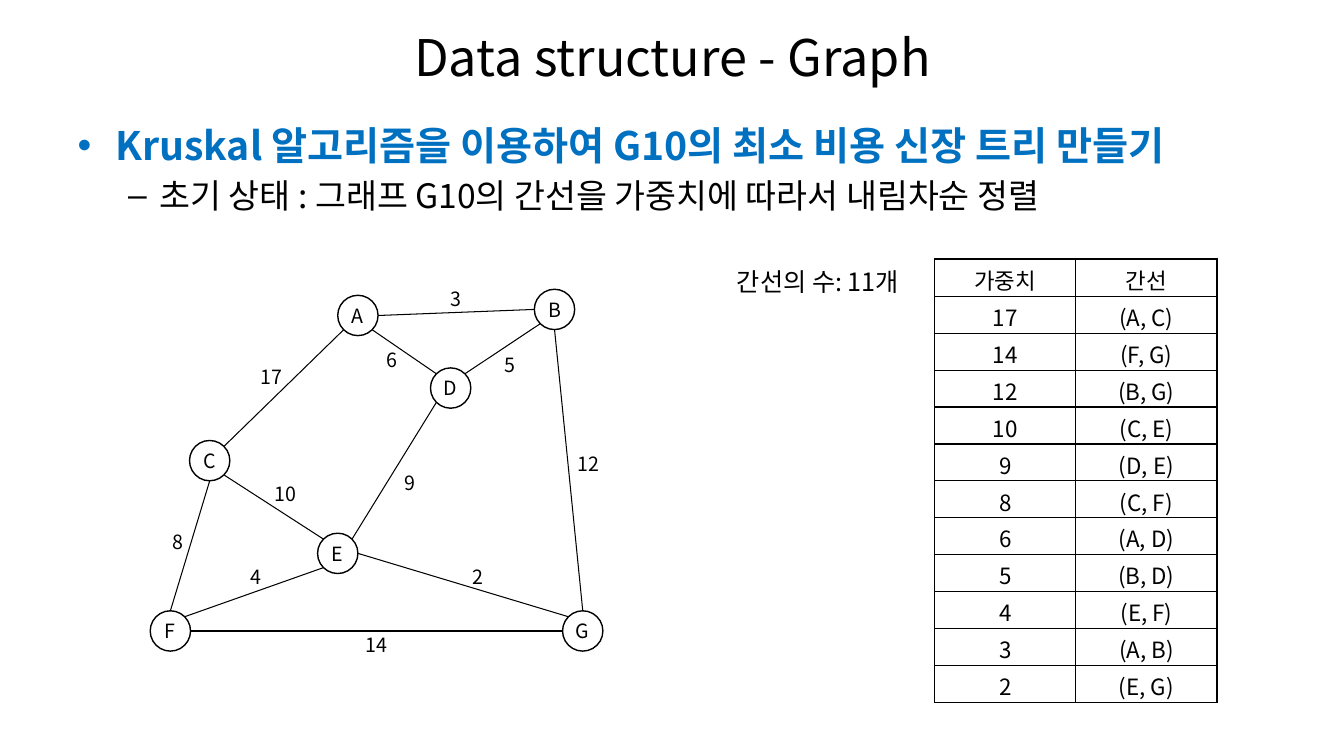
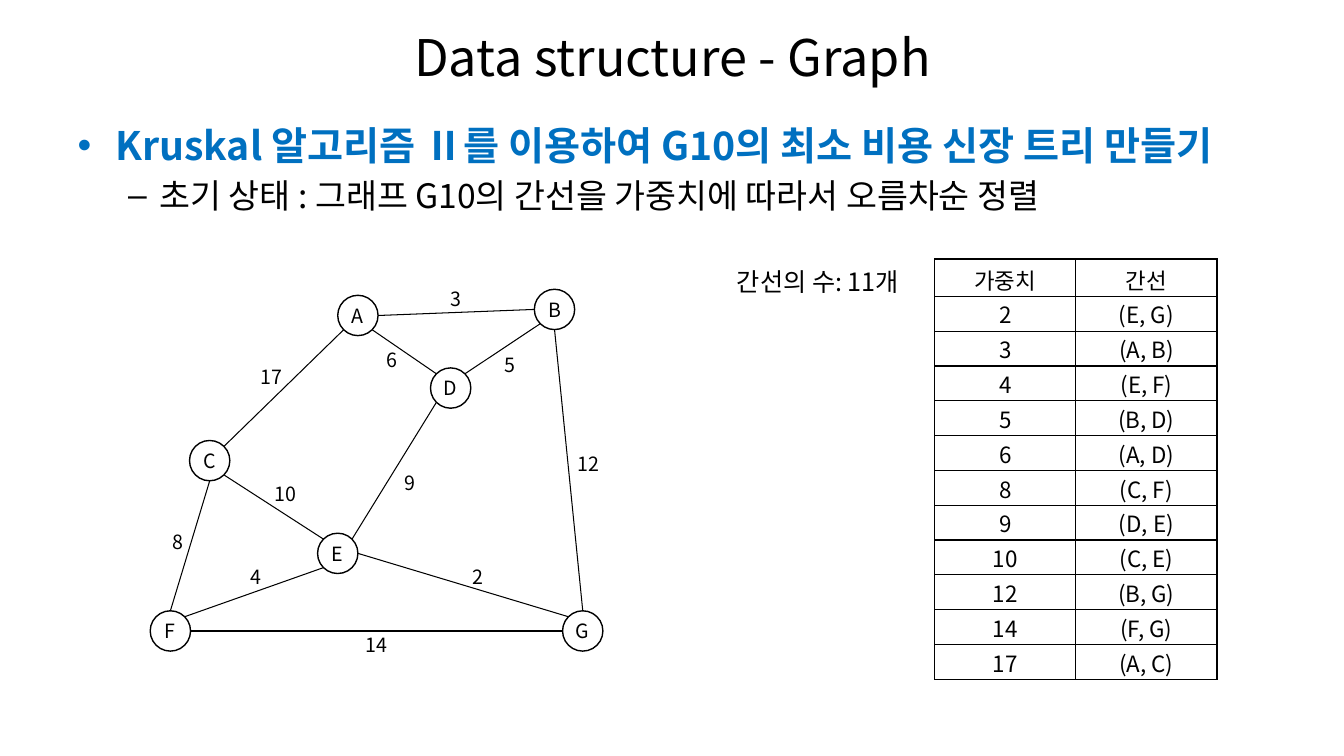
import math

import lxml.etree
import pptx
import pptx.dml.color
import pptx.enum.shapes
import pptx.enum.text
import pptx.oxml.ns
import pptx.util

EMU_PER_PX = 9144
FONT = "Noto Sans CJK KR"
BLACK = "000000"
WHITE = "FFFFFF"
BLUE = "0070C0"
CENTER = pptx.enum.text.PP_ALIGN.CENTER
MIDDLE = pptx.enum.text.MSO_ANCHOR.MIDDLE
FIT_SHAPE = pptx.enum.text.MSO_AUTO_SIZE.SHAPE_TO_FIT_TEXT

NODE_SIZE = 40
NODES = {
    "A": (335, 293), "B": (530, 287), "C": (188, 437), "D": (427, 365),
    "E": (315, 529), "F": (149, 606), "G": (558, 606),
}
TOP, TOP_LEFT, LEFT, BOTTOM_LEFT, BOTTOM, BOTTOM_RIGHT, RIGHT, TOP_RIGHT = range(8)
EDGES = [
    (17, "A", BOTTOM_LEFT, "C", TOP_RIGHT, (243, 357)),
    (14, "F", RIGHT, "G", LEFT, (347, 623)),
    (12, "B", BOTTOM, "G", TOP, (558, 443)),
    (10, "C", BOTTOM_RIGHT, "E", TOP_LEFT, (257, 473)),
    (9, "D", BOTTOM_LEFT, "E", TOP_RIGHT, (381, 462)),
    (8, "C", BOTTOM, "F", TOP, (151, 520)),
    (6, "A", BOTTOM_RIGHT, "D", TOP_LEFT, (363, 340)),
    (5, "B", BOTTOM_LEFT, "D", TOP_RIGHT, (480, 345)),
    (4, "E", BOTTOM_LEFT, "F", TOP_RIGHT, (228, 555)),
    (3, "A", RIGHT, "B", LEFT, (426, 279)),
    (2, "E", RIGHT, "G", TOP_LEFT, (448, 555)),
]
HEADER_HEIGHT = 37
HEADER_TOP_MARGIN = 4


def px(length):
    return pptx.util.Emu(round(length * EMU_PER_PX))


def box(left, top, width, height):
    return px(left), px(top), px(width), px(height)


def rgb(color):
    return pptx.dml.color.RGBColor.from_string(color)


def add_xml(parent, tag, **attributes):
    return lxml.etree.SubElement(parent, pptx.oxml.ns.qn(tag), attributes)


def style_paragraph(paragraph, size, color=BLACK, bold=False, alignment=None):
    paragraph.alignment = alignment
    font = paragraph.font
    font.name = FONT
    properties = paragraph._p.pPr.find(pptx.oxml.ns.qn("a:defRPr"))
    add_xml(properties, "a:ea", typeface=FONT)
    font.size = pptx.util.Pt(size)
    font.bold = bold
    font.color.rgb = rgb(color)


def place(shape, left, top, width, height):
    shape.left, shape.top, shape.width, shape.height = box(left, top, width, height)


def fill_title(slide, text):
    title = slide.shapes.title
    place(title, 67, 13, 1200, 85)
    title.text_frame.text = text
    style_paragraph(title.text_frame.paragraphs[0], 36, alignment=CENTER)


def fill_body(slide, heading, detail):
    body = slide.placeholders[1]
    place(body, 67, 115, 1200, 567)
    frame = body.text_frame
    frame.auto_size = pptx.enum.text.MSO_AUTO_SIZE.NONE
    frame.text = heading
    first = frame.paragraphs[0]
    first.space_before = pptx.util.Pt(0)
    bullet_color = add_xml(first._p.get_or_add_pPr(), "a:buClr")
    add_xml(bullet_color, "a:srgbClr", val=BLUE)
    style_paragraph(first, 28, BLUE, bold=True)
    second = frame.add_paragraph()
    second.text = detail
    second.level = 1
    style_paragraph(second, 24)


def add_label(slide, text, bounds, size, alignment=None, anchor=None):
    frame = slide.shapes.add_textbox(*box(*bounds)).text_frame
    frame.word_wrap = True
    frame.auto_size = FIT_SHAPE
    frame.vertical_anchor = anchor
    frame.text = text
    style_paragraph(frame.paragraphs[0], size, alignment=alignment)


def add_node(slide, name, left, top):
    shape = slide.shapes.add_shape(
        pptx.enum.shapes.MSO_SHAPE.OVAL, *box(left, top, NODE_SIZE, NODE_SIZE))
    shape.shadow.inherit = False
    shape.fill.solid()
    shape.fill.fore_color.rgb = rgb(WHITE)
    shape.line.color.rgb = rgb(BLACK)
    shape.line.width = pptx.util.Pt(1)
    frame = shape.text_frame
    frame.margin_left = frame.margin_top = frame.margin_right = frame.margin_bottom = 0
    frame.word_wrap = False
    frame.vertical_anchor = MIDDLE
    frame.text = name
    style_paragraph(frame.paragraphs[0], 14, alignment=CENTER)
    return shape


def site_point(name, site):
    left, top = NODES[name]
    radius = NODE_SIZE / 2
    angle = site * math.pi / 4
    return (px(left + radius - radius * math.sin(angle)),
            px(top + radius - radius * math.cos(angle)))


def add_edge(slide, shapes, start, start_site, end, end_site):
    connector = slide.shapes.add_connector(
        pptx.enum.shapes.MSO_CONNECTOR.STRAIGHT,
        *site_point(start, start_site), *site_point(end, end_site))
    connector.line.color.rgb = rgb(BLACK)
    connector.line.width = pptx.util.Pt(0.75)
    add_xml(connector._element.spPr, "a:effectLst")
    joints = connector._element.find(".//" + pptx.oxml.ns.qn("p:cNvCxnSpPr"))
    for tag, name, site in (("a:stCxn", start, start_site), ("a:endCxn", end, end_site)):
        add_xml(joints, tag, id=str(shapes[name].shape_id), idx=str(site))


def add_graph(slide):
    shapes = {name: add_node(slide, name, *corner) for name, corner in NODES.items()}
    for weight, start, start_site, end, end_site, corner in EDGES:
        add_edge(slide, shapes, start, start_site, end, end_site)
        add_label(slide, str(weight), (*corner, 52, 34), 14, CENTER, MIDDLE)


def fill_cell(cell, text, top_margin):
    cell.margin_left = cell.margin_right = px(1)
    cell.margin_top = px(top_margin)
    cell.margin_bottom = 0
    cell.vertical_anchor = MIDDLE
    cell.text = text
    style_paragraph(cell.text_frame.paragraphs[0], 16, alignment=CENTER)
    properties = cell._tc.get_or_add_tcPr()
    for side in ("a:lnL", "a:lnR", "a:lnT", "a:lnB"):
        line = add_xml(properties, side, w=str(pptx.util.Pt(1)))
        add_xml(add_xml(line, "a:solidFill"), "a:srgbClr", val=BLACK)
    cell.fill.background()


def add_edge_table(slide, descending, height, top_margin):
    edges = sorted(EDGES, key=lambda edge: edge[0], reverse=descending)
    rows = [("가중치", "간선")]
    rows += [(str(edge[0]), f"({edge[1]}, {edge[3]})") for edge in edges]
    table = slide.shapes.add_table(len(rows), 2, *box(927, 257, 280, height)).table
    table.first_row = False
    table.horz_banding = False
    for index, values in enumerate(rows):
        is_header = index == 0
        table.rows[index].height = px(
            HEADER_HEIGHT if is_header else (height - HEADER_HEIGHT) / len(edges))
        margin = HEADER_TOP_MARGIN if is_header else top_margin
        for column, value in enumerate(values):
            fill_cell(table.cell(index, column), value, margin)


def add_kruskal_slide(presentation, heading, order, descending, height, top_margin):
    slide = presentation.slides.add_slide(presentation.slide_layouts[1])
    fill_title(slide, "Data structure - Graph")
    fill_body(slide, f"Kruskal {heading} 이용하여 G10의 최소 비용 신장 트리 만들기",
              f"초기 상태 : 그래프 G10의 간선을 가중치에 따라서 {order} 정렬")
    add_graph(slide)
    add_edge_table(slide, descending, height, top_margin)
    add_label(slide, f"간선의 수: {len(EDGES)}개", (721, 259, 198, 40), 18)


def main():
    presentation = pptx.Presentation()
    presentation.slide_width = px(1333)
    presentation.slide_height = px(750)
    add_kruskal_slide(presentation, "알고리즘을", "내림차순", True, 440, 4)
    add_kruskal_slide(presentation, "알고리즘 Ⅱ를", "오름차순", False, 417, 1)
    presentation.save("out.pptx")


if __name__ == "__main__":
    main()
